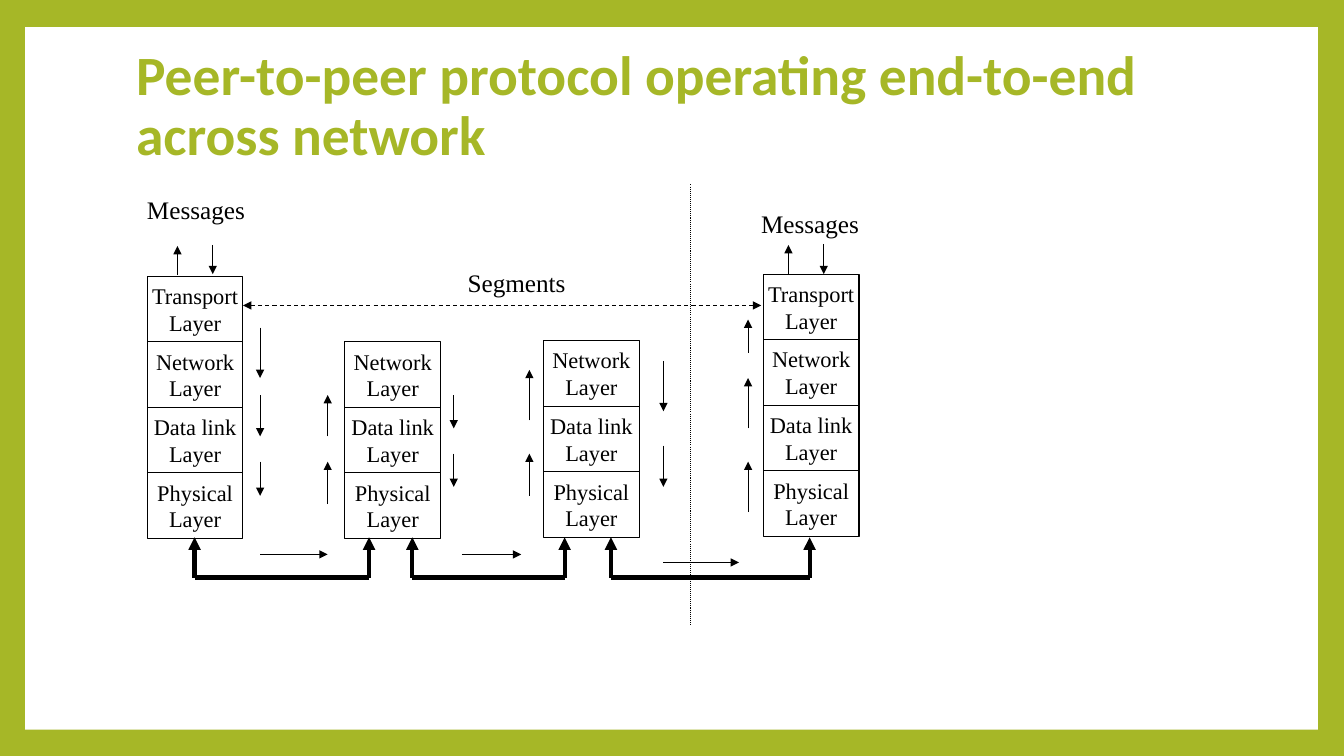
from lxml.etree import SubElement
from pptx import Presentation
from pptx.dml.color import RGBColor
from pptx.enum.dml import MSO_LINE
from pptx.enum.shapes import MSO_CONNECTOR, MSO_SHAPE
from pptx.enum.text import MSO_ANCHOR, MSO_AUTO_SIZE, PP_ALIGN
from pptx.oxml.ns import qn
from pptx.util import Inches, Pt

COLORS = {"green": "A6B727", "white": "FFFFFF", "black": "000000"}

LAYERS = ["Physical", "Data link", "Network", "Transport"]  # bottom to top
LAYER_WIDTH, LAYER_HEIGHT = 0.95, 0.65
# left edge, top of the lowest layer, number of layers
STACKS = [(1.46, 4.69, 4), (3.42, 4.69, 3), (5.39, 4.68, 3), (7.57, 4.67, 4)]

LABELS = [("Messages", 1.36, 1.88), ("Messages", 7.45, 2.02), ("Segments", 4.54, 2.6)]

WIRES = [(1.93, 3.66), (4.09, 5.6), (6.06, 8.03)]
WIRE_TOP, WIRE_BOTTOM = 5.33, 5.73

# x, then start and end heights of each arrow
VERTICAL_FLOWS = [
    (1.76, [(2.73, 2.44)]),
    (2.11, [(2.43, 2.72)]),
    (7.82, [(2.72, 2.43)]),
    (8.17, [(2.42, 2.72)]),
    (2.58, [(3.25, 3.75), (3.92, 4.33), (4.58, 4.92)]),
    (3.25, [(5, 4.58), (4.33, 3.92)]),
    (4.5, [(3.92, 4.25), (4.5, 4.83)]),
    (5.25, [(4.92, 4.5), (4.17, 3.67)]),
    (6.58, [(3.58, 4.08), (4.42, 4.83)]),
    (7.42, [(5.08, 4.58), (4.25, 3.75), (3.5, 3.17)]),
]
# height, start x, end x
HORIZONTAL_FLOWS = [(5.5, 2.58, 3.25), (5.5, 4.58, 5.17), (5.58, 6.58, 7.33)]


def color(name):
    return RGBColor.from_string(COLORS[name])


class Slide:
    """Holds the current page and the style shared by its elements."""

    heading_font = "Calibri"
    diagram_font = "Times New Roman"

    def __init__(self, deck):
        self.page = deck.slides.add_slide(deck.slide_layouts[5])
        fill = self.page.background.fill
        fill.solid()
        fill.fore_color.rgb = color("green")

    def add_span(self, para, text, font, size, ink, bold=False):
        span = para.add_run()
        span.text = text
        span.font.name = font
        span.font.size = Pt(size)
        span.font.bold = bold
        span.font.color.rgb = color(ink)

    def rectangle(self, left, top, width, height):
        box = self.page.shapes.add_shape(
            MSO_SHAPE.RECTANGLE, Inches(left), Inches(top), Inches(width), Inches(height))
        box.shadow.inherit = False
        return box

    def panel(self, left, top, width, height):
        """Draw the white area behind the title."""
        box = self.rectangle(left, top, width, height)
        box.fill.solid()
        box.fill.fore_color.rgb = color("white")
        box.line.fill.background()
        self.page.shapes.title.element.addprevious(box.element)

    def title(self, text, left, top, width, height):
        box = self.page.shapes.title
        box.left, box.top = Inches(left), Inches(top)
        box.width, box.height = Inches(width), Inches(height)
        frame = box.text_frame
        frame.word_wrap = True
        frame.auto_size = MSO_AUTO_SIZE.NONE
        frame.vertical_anchor = MSO_ANCHOR.MIDDLE
        para = frame.paragraphs[0]
        para.alignment = PP_ALIGN.LEFT
        para.line_spacing = 0.9
        self.add_span(para, text, self.heading_font, 39.6, "green", bold=True)

    def layer(self, name, left, top):
        box = self.rectangle(left, top, LAYER_WIDTH, LAYER_HEIGHT)
        box.fill.background()
        box.line.color.rgb = color("black")
        box.line.width = Pt(0.75)
        frame = box.text_frame
        frame.word_wrap = False
        frame.vertical_anchor = MSO_ANCHOR.MIDDLE
        frame.margin_left = frame.margin_right = 0
        frame.margin_top = frame.margin_bottom = 0
        for para, text in ((frame.paragraphs[0], name), (frame.add_paragraph(), "Layer")):
            para.alignment = PP_ALIGN.CENTER
            self.add_span(para, text, self.diagram_font, 16, "black")

    def label(self, text, left, top):
        box = self.page.shapes.add_textbox(
            Inches(left), Inches(top), Inches(1.17), Inches(0.4))
        frame = box.text_frame
        frame.word_wrap = False
        frame.auto_size = MSO_AUTO_SIZE.SHAPE_TO_FIT_TEXT
        self.add_span(frame.paragraphs[0], text, self.diagram_font, 18, "black")

    def line(self, start, end, width=0.75, dash=None, arrows=()):
        """Draw a line; arrows may name "headEnd" (start) and "tailEnd" (end)."""
        connector = self.page.shapes.add_connector(
            MSO_CONNECTOR.STRAIGHT, *(Inches(value) for value in (*start, *end)))
        connector.line.color.rgb = color("black")
        connector.line.width = Pt(width)
        if dash:
            connector.line.dash_style = dash
        properties = connector.element.spPr
        for arrow in arrows:
            SubElement(properties.find(qn("a:ln")), qn(f"a:{arrow}"), type="triangle")
        SubElement(properties, qn("a:effectLst"))

    def arrow(self, start, end, width=0.75):
        self.line(start, end, width, arrows=["tailEnd"])


def main():
    deck = Presentation()
    deck.slide_width, deck.slide_height = Inches(13.33), Inches(7.5)
    slide = Slide(deck)
    slide.panel(0.25, 0.27, 12.82, 6.97)
    slide.title("Peer-to-peer protocol operating end-to-end across network",
                1.25, 0.33, 10.8, 1.48)

    for left, base, count in STACKS:
        for level, name in enumerate(LAYERS[:count]):
            slide.layer(name, left, base - level * LAYER_HEIGHT)
    for text, left, top in LABELS:
        slide.label(text, left, top)

    for first, last in WIRES:
        slide.line((first, WIRE_BOTTOM), (last, WIRE_BOTTOM), width=3)
        for x in (first, last):
            slide.arrow((x, WIRE_BOTTOM), (x, WIRE_TOP), width=3)

    slide.line((2.41, 3.03), (7.55, 3.03), dash=MSO_LINE.DASH,
               arrows=["headEnd", "tailEnd"])
    slide.line((6.85, 1.83), (6.85, 6.21), dash=MSO_LINE.ROUND_DOT)

    for x, spans in VERTICAL_FLOWS:
        for start, end in spans:
            slide.arrow((x, start), (x, end))
    for y, start, end in HORIZONTAL_FLOWS:
        slide.arrow((start, y), (end, y))

    deck.save("out.pptx")


if __name__ == "__main__":
    main()
